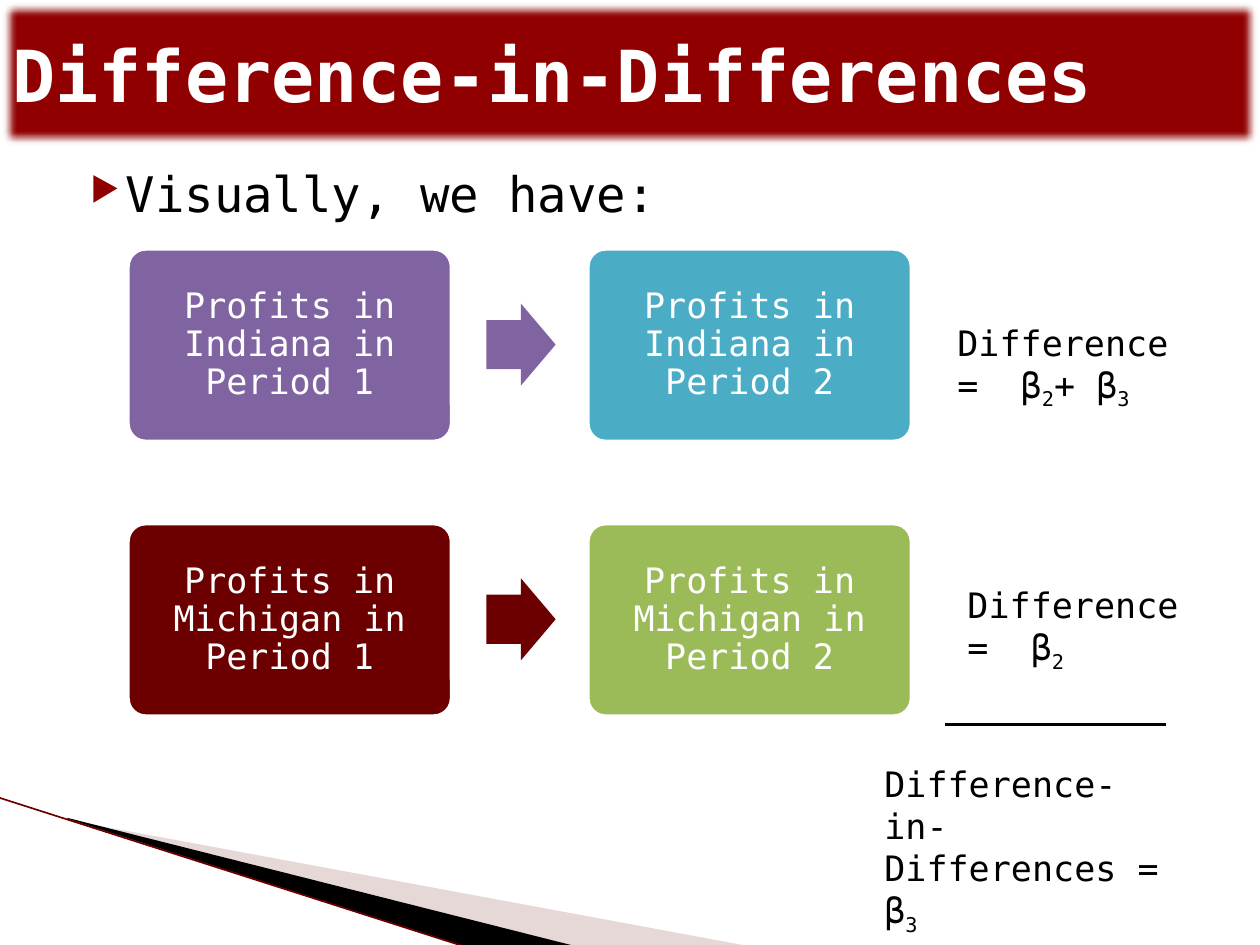
"""Build the Difference-in-Differences slide."""
import pptx
import pptx.dml.color
import pptx.enum.shapes
import pptx.enum.text
import pptx.oxml
import pptx.oxml.ns
import pptx.util

Inches = pptx.util.Inches
Pt = pptx.util.Pt
SHAPES = pptx.enum.shapes.MSO_SHAPE
ALIGN = pptx.enum.text.PP_ALIGN
ANCHOR = pptx.enum.text.MSO_ANCHOR

COLORS = {
    "banner": "900000", "white": "FFFFFF", "black": "000000", "maroon": "6C0000",
    "purple": "8064A2", "blue": "4BACC6", "green": "9BBB59", "sweep": "C39F9F",
}
ROWS = [("Indiana", 1.96, ("purple", "blue")), ("Michigan", 4.14, ("maroon", "green"))]
RESULTS = [
    ((7.5, 2.5, 2.17, 0.77), ["Difference =  β", "2", "+ β", "3"]),
    ((7.58, 4.58, 1.92, 0.77), ["Difference =  β", "2"]),
    ((6.92, 6, 2.42, 0.77), ["Difference-in-Differences = β", "3"]),
]
SWEEPS = [
    ([(0.55, 6.51), (5.95, 7.51), (4.56, 7.51), (0.55, 6.5)], "sweep", 40),
    ([(0.53, 6.49), (4.57, 7.51), (3.72, 7.52), (0.54, 6.5)], "black", 100),
]


def rgb(name):
    return pptx.dml.color.RGBColor.from_string(COLORS[name])


def apply(target, values):
    for name, value in values.items():
        setattr(target, name, value)


def add_xml(parent, tag, content="", **attributes):
    listed = " ".join(f'{name}="{value}"' for name, value in attributes.items())
    namespace = pptx.oxml.ns.nsdecls("a")
    parent.append(pptx.oxml.parse_xml(f"<a:{tag} {namespace} {listed}>{content}</a:{tag}>"))


def paint(shape, color, alpha=100):
    shape.shadow.inherit = False
    shape.fill.solid()
    shape.fill.fore_color.rgb = rgb(color)
    shape.line.fill.background()
    if alpha < 100:
        add_xml(shape.fill._xPr.solidFill[0], "alpha", val=alpha * 1000)


def write(shape, spans, size, color="black", bold=False, frame=None, paragraph=None):
    """Write one paragraph whose every second span is a subscript."""
    apply(shape.text_frame, {"word_wrap": True, **(frame or {})})
    para = shape.text_frame.paragraphs[0]
    apply(para, {"alignment": ALIGN.LEFT, **(paragraph or {})})
    for index, text in enumerate(spans):
        span = para.add_run()
        span.text = text
        apply(span.font, {"name": "DejaVu Sans Mono", "size": Pt(size), "bold": bold})
        span.font.color.rgb = rgb(color)
        if index % 2:
            span.font._element.set("baseline", "-25000")
    return para


def add_preset(page, kind, place, color, adjustments=()):
    shape = page.shapes.add_shape(kind, *map(Inches, place))
    paint(shape, color)
    for index, value in enumerate(adjustments):
        shape.adjustments[index] = value
    return shape


def add_text(page, place, spans, size):
    box = page.shapes.add_textbox(*map(Inches, place))
    return write(box, spans, size)


def add_line(page, start, end, color, width):
    line = page.shapes.add_connector(
        pptx.enum.shapes.MSO_CONNECTOR.STRAIGHT, *map(Inches, start + end))
    line.line.color.rgb = rgb(color)
    line.line.width = Pt(width)
    add_xml(line._element.spPr, "effectLst")


def add_sweep(page, points, color, alpha):
    corners = [tuple(map(Inches, point)) for point in points]
    builder = page.shapes.build_freeform(*corners[0])
    builder.add_line_segments(corners[1:], close=True)
    paint(builder.convert_to_shape(), color, alpha)


def add_banner(page, text):
    banner = add_preset(page, SHAPES.RECTANGLE, (0, 0, 10, 1.17), "banner")
    add_xml(banner._element.spPr.find(pptx.oxml.ns.qn("a:effectLst")), "softEdge", rad=Pt(5))
    write(banner, [text], 41, "white", True, {"vertical_anchor": ANCHOR.MIDDLE})


def add_bullet(page, text):
    para = add_text(page, (0.5, 1.25, 9, 0.65), [text], 28)
    para.space_before = Pt(4)
    properties = para._p.get_or_add_pPr()
    properties.set("marL", str(Inches(0.4)))
    properties.set("indent", str(Inches(-0.28)))
    add_xml(properties, "buClr", f'<a:srgbClr val="{COLORS["banner"]}"/>')
    add_xml(properties, "buSzPct", val=68000)
    add_xml(properties, "buChar", char="▶")


def add_period_row(page, state, top, colors):
    """Draw the two period cards of a state and the arrow between them."""
    margins = ("margin_left", "margin_right", "margin_top", "margin_bottom")
    frame = {"vertical_anchor": ANCHOR.MIDDLE, **dict.fromkeys(margins, Inches(0.08))}
    for index, color in enumerate(colors):
        place = (1 + 3.65 * index, top, 2.6, 1.56)
        card = add_preset(page, SHAPES.ROUNDED_RECTANGLE, place, color, [0.1])
        card.line.color.rgb = rgb("white")
        card.line.width = Pt(4.33)
        write(card, [f"Profits in {state} in Period {index + 1}"], 20, "white", frame=frame,
              paragraph={"alignment": ALIGN.CENTER, "line_spacing": 0.9})
    add_preset(page, SHAPES.RIGHT_ARROW, (3.86, top + 0.45, 0.55, 0.65), colors[0], [0.6, 0.5])


def main():
    deck = pptx.Presentation()
    apply(deck, {"slide_width": Inches(10), "slide_height": Inches(7.5)})
    page = deck.slides.add_slide(deck.slide_layouts[6])
    for sweep in SWEEPS:
        add_sweep(page, *sweep)
    add_line(page, (-0.01, 6.33), (3.71, 7.52), "maroon", 0.95)
    add_bullet(page, "Visually, we have:")
    add_banner(page, "Difference-in-Differences")
    for row in ROWS:
        add_period_row(page, *row)
    for place, spans in RESULTS:
        add_text(page, place, spans, 20)
    add_line(page, (7.5, 5.75), (9.25, 5.75), "black", 2)
    deck.save("out.pptx")


if __name__ == "__main__":
    main()
